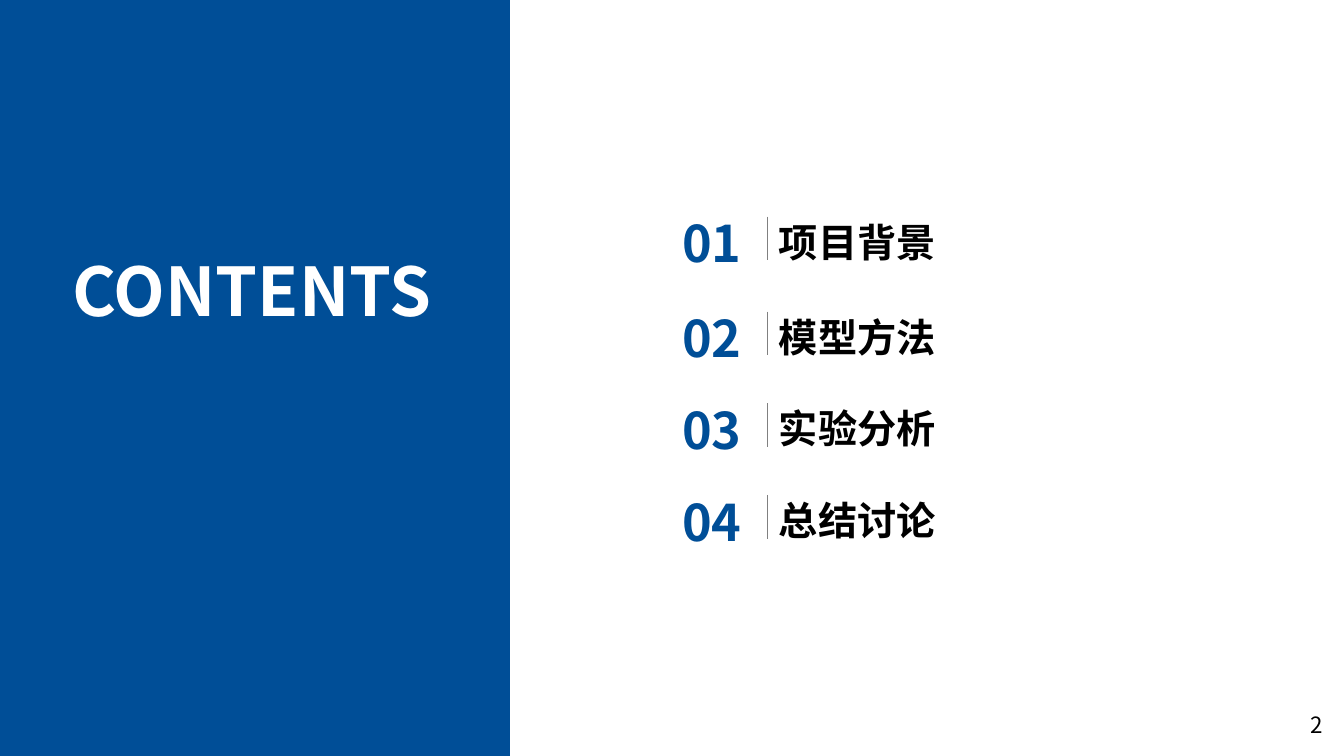
from lxml import etree
from pptx import Presentation
from pptx.dml.color import RGBColor
from pptx.enum.shapes import MSO_CONNECTOR, MSO_SHAPE
from pptx.enum.text import MSO_ANCHOR, PP_ALIGN
from pptx.oxml.ns import qn
from pptx.util import Cm, Pt

RECT = MSO_SHAPE.RECTANGLE
LINE = MSO_CONNECTOR.STRAIGHT
LEFT, MID, RIGHT = PP_ALIGN.LEFT, PP_ALIGN.CENTER, PP_ALIGN.RIGHT
TOP, MIDDLE = MSO_ANCHOR.TOP, MSO_ANCHOR.MIDDLE

FONT = "Noto Sans CJK SC"
BLUE, WHITE, BLACK, GREY = "004E97", "FFFFFF", "000000", "808080"
WIDE, HIGH = 33.87, 19.05
PANEL_X, PANEL_W = -0.15, 13
ITEMS = [
    (5.23, "项目背景"),
    (7.62, "模型方法"),
    (9.93, "实验分析"),
    (12.24, "总结讨论"),
]


def paint(color, value):
    color.rgb = RGBColor.from_string(value)


def add_panel(slide):
    panel = slide.shapes.add_shape(RECT, Cm(PANEL_X), 0, Cm(PANEL_W), Cm(HIGH))
    panel.shadow.inherit = False
    panel.fill.solid()
    paint(panel.fill.fore_color, BLUE)
    panel.line.fill.background()


def add_text(shapes, box, text, size, color, bold=True, align=LEFT,
             anchor=TOP, wrap=True):
    """Add one line of text; box is left, top, width, height in cm."""
    frame = shapes.add_textbox(*map(Cm, box)).text_frame
    frame.word_wrap = wrap
    frame.vertical_anchor = anchor
    frame.text = text
    para = frame.paragraphs[0]
    para.alignment = align
    run = para.runs[0]
    run.font.size = Pt(size)
    run.font.bold = bold
    run.font.name = FONT
    paint(run.font.color, color)
    # Chinese glyphs take their font from a:ea, not a:latin
    east = etree.SubElement(run.font._element, qn("a:ea"))
    east.set("typeface", FONT)


def add_rule(shapes, x, top, height):
    rule = shapes.add_connector(LINE, Cm(x), Cm(top), Cm(x), Cm(top + height))
    rule.line.width = Pt(0.5)
    paint(rule.line.color, GREY)
    etree.SubElement(rule._element.spPr, qn("a:effectLst"))


def add_item(slide, index, top, title):
    shapes = slide.shapes.add_group_shape().shapes
    add_text(shapes, (16.94, top, 2.84, 1.8), f"{index:02}", 36, BLUE)
    add_text(shapes, (19.38, top + 0.14, 4.5, 1.45), title, 28, BLACK,
             wrap=False)
    add_rule(shapes, 19.33, top + 0.23, 1.1)


def main():
    deck = Presentation()
    deck.slide_width, deck.slide_height = Cm(WIDE), Cm(HIGH)
    slide = deck.slides.add_slide(deck.slide_layouts[6])
    add_panel(slide)
    add_text(slide.shapes, (PANEL_X, 6.17, PANEL_W, 2.31), "CONTENTS", 48,
             WHITE, align=MID)
    for index, (top, title) in enumerate(ITEMS, 1):
        add_item(slide, index, top, title)
    add_text(slide.shapes, (25.98, 17.75, 7.62, 1.02), "2", 16, BLACK,
             bold=False, align=RIGHT, anchor=MIDDLE)
    deck.save("out.pptx")


if __name__ == "__main__":
    main()
